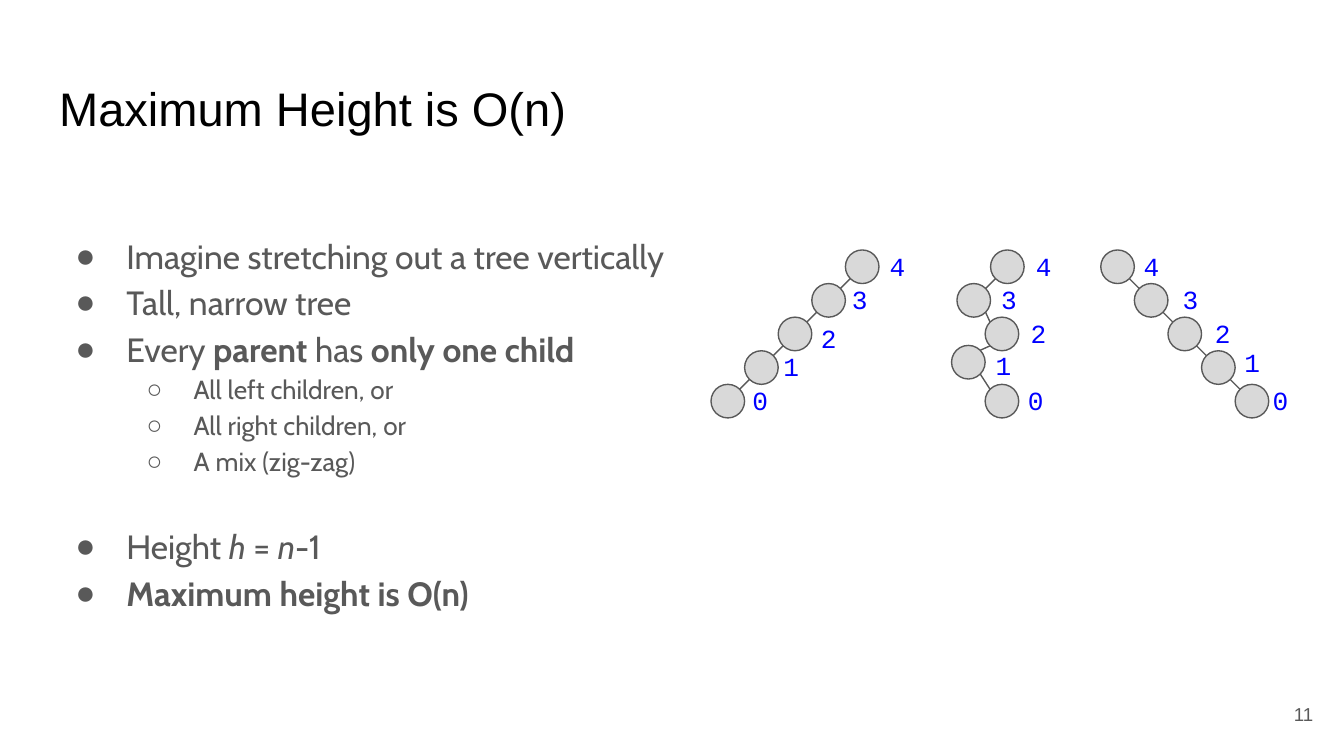
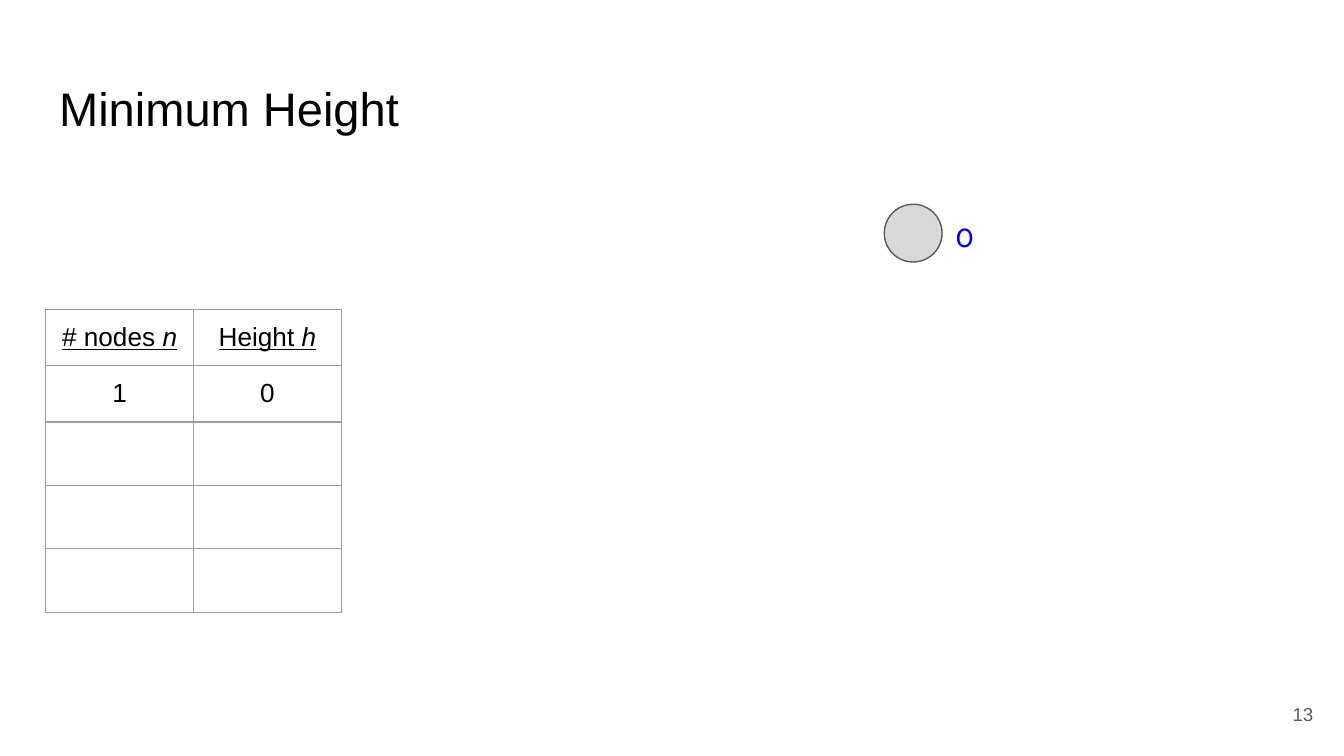
from dataclasses import dataclass
from math import sqrt
from typing import NamedTuple

from lxml.etree import SubElement
from pptx import Presentation
from pptx.dml.color import RGBColor
from pptx.enum.shapes import MSO_CONNECTOR as Connector, MSO_SHAPE as Shape
from pptx.enum.text import MSO_ANCHOR as Anchor, MSO_AUTO_SIZE as AutoSize, PP_ALIGN as Align
from pptx.oxml.ns import qn
from pptx.util import Inches, Pt

BLACK = RGBColor(0x00, 0x00, 0x00)
GRAY = RGBColor(0x59, 0x59, 0x59)
NODE_FILL = RGBColor(0xD9, 0xD9, 0xD9)
LABEL_BLUE = RGBColor(0x00, 0x00, 0xFF)
BORDER = RGBColor(0x9E, 0x9E, 0x9E)

HEADING_FONT, BODY_FONT, LABEL_FONT = "Arial", "Cabin", "Courier New"
LINE_WIDTH = Pt(0.75)
TEXT_INSET = Inches(0.1)
TITLE_ONLY_LAYOUT, TWO_CONTENT_LAYOUT = 5, 3

NODE_SIZE = 0.25
NODE_STEP = 0.25
TREE_TOP = 1.86
LEVELS = range(5)


class Box(NamedTuple):
    """Left, top, width and height in inches."""
    left: float
    top: float
    width: float
    height: float

    def lengths(self) -> list:
        return [Inches(value) for value in self]


class Point(NamedTuple):
    left: float
    top: float


class Span(NamedTuple):
    text: str
    bold: bool = False
    italic: bool = False


@dataclass(frozen=True)
class Bullet:
    spans: list[Span]
    level: int = 0


@dataclass(frozen=True)
class BulletStyle:
    character: str
    margin: float
    indent: float
    size: float


@dataclass(frozen=True)
class Tree:
    """One chain of nodes, root first, with the place of each height label."""
    nodes: list[Point]
    labels: list[Point]


BULLET_STYLES = [BulletStyle("●", 0.5, -0.38, 18), BulletStyle("○", 1, -0.35, 14)]

TITLE_BOX = Box(0.34, 0.49, 9.32, 0.63)
NUMBER_BOX = Box(9.27, 5.1, 0.6, 0.43)

SHAPE_BULLETS = [
    Bullet([Span("Imagine stretching out a tree vertically")]),
    Bullet([Span("Tall, narrow tree")]),
    Bullet([Span("Every "), Span("parent", bold=True), Span(" has "),
            Span("only one child", bold=True)]),
    Bullet([Span("All left children, or")], level=1),
    Bullet([Span("All right children, or")], level=1),
    Bullet([Span("A mix (zig-zag)")], level=1),
]
HEIGHT_BULLETS = [
    Bullet([Span("Height "), Span("h", italic=True), Span(" = "),
            Span("n", italic=True), Span("-1")]),
    Bullet([Span("Maximum height is O(n)", bold=True)]),
]

LEFT_TREE = Tree(
    [Point(6.29 - NODE_STEP * i, TREE_TOP + NODE_STEP * i) for i in LEVELS],
    [Point(6.52, 1.76), Point(6.24, 2.01), Point(6.01, 2.3), Point(5.73, 2.51),
     Point(5.5, 2.76)],
)
ZIGZAG_TREE = Tree(
    [Point(7.37, 1.86), Point(7.12, 2.11), Point(7.33, 2.36), Point(7.08, 2.57),
     Point(7.33, 2.86)],
    [Point(7.61, 1.76), Point(7.35, 2.01), Point(7.57, 2.26), Point(7.31, 2.5),
     Point(7.55, 2.76)],
)
RIGHT_TREE = Tree(
    [Point(8.19 + NODE_STEP * i, TREE_TOP + NODE_STEP * i) for i in LEVELS],
    [Point(8.41, 1.76), Point(8.7, 2.01), Point(8.94, 2.26), Point(9.16, 2.48),
     Point(9.37, 2.76)],
)

HEIGHT_ROWS = [
    [[Span("# nodes "), Span("n", italic=True)], [Span("Height "), Span("h", italic=True)]],
    [[Span("1")], [Span("0")]],
    [[], []],
    [[], []],
    [[], []],
]
COLUMN_WIDTH, ROW_HEIGHT = 1.1, 0.42
EMPTY_CELL_SIZE = 17.5


def style_font(font, name: str, size: float, color: RGBColor) -> None:
    font.name = name
    font.size = Pt(size)
    font.color.rgb = color


def add_spans(paragraph, spans: list[Span], name: str, size: float, color: RGBColor) -> None:
    for span in spans:
        run = paragraph.add_run()
        run.text = span.text
        style_font(run.font, name, size, color)
        run.font.bold = span.bold
        run.font.italic = span.italic


def prepare_frame(shape, box: Box, anchor=Anchor.TOP):
    """Place a text shape and give its frame the shared insets."""
    shape.left, shape.top, shape.width, shape.height = box.lengths()
    frame = shape.text_frame
    frame.word_wrap = True
    frame.auto_size = AutoSize.NONE
    frame.vertical_anchor = anchor
    frame.margin_left = frame.margin_right = TEXT_INSET
    frame.margin_top = frame.margin_bottom = TEXT_INSET
    return frame


def add_text(slide, box: Box, text: str, font_name: str, size: float, color: RGBColor,
             align=Align.LEFT, anchor=Anchor.TOP) -> None:
    frame = prepare_frame(slide.shapes.add_textbox(*box.lengths()), box, anchor)
    frame.text = text
    paragraph = frame.paragraphs[0]
    paragraph.alignment = align
    style_font(paragraph.runs[0].font, font_name, size, color)


def add_base_slide(presentation, layout: int, title: str, number: str):
    slide = presentation.slides.add_slide(presentation.slide_layouts[layout])
    frame = prepare_frame(slide.shapes.title, TITLE_BOX)
    frame.text = title
    paragraph = frame.paragraphs[0]
    paragraph.alignment = Align.LEFT
    style_font(paragraph.runs[0].font, HEADING_FONT, 25.2, BLACK)
    add_text(slide, NUMBER_BOX, number, HEADING_FONT, 10, GRAY, Align.RIGHT, Anchor.MIDDLE)
    return slide


def set_bullet(paragraph, style: BulletStyle) -> None:
    properties = paragraph._p.get_or_add_pPr()
    properties.set("marL", str(Inches(style.margin)))
    properties.set("indent", str(Inches(style.indent)))
    color = SubElement(properties, qn("a:buClr"))
    SubElement(color, qn("a:srgbClr"), val=str(GRAY))
    SubElement(properties, qn("a:buFont"), typeface=HEADING_FONT)
    SubElement(properties, qn("a:buChar"), char=style.character)


def fill_list(placeholder, box: Box, bullets: list[Bullet]) -> None:
    frame = prepare_frame(placeholder, box)
    for index, bullet in enumerate(bullets):
        paragraph = frame.add_paragraph() if index else frame.paragraphs[0]
        style = BULLET_STYLES[bullet.level]
        paragraph.level = bullet.level
        paragraph.line_spacing = 1.15
        paragraph.space_before = Pt(0)
        set_bullet(paragraph, style)
        add_spans(paragraph, bullet.spans, BODY_FONT, style.size, GRAY)


def add_node(slide, position: Point, size: float = NODE_SIZE) -> None:
    node = slide.shapes.add_shape(Shape.OVAL, *Box(*position, size, size).lengths())
    node.shadow.inherit = False
    node.fill.solid()
    node.fill.fore_color.rgb = NODE_FILL
    node.line.color.rgb = GRAY
    node.line.width = LINE_WIDTH


def add_edge(slide, child: Point, parent: Point) -> None:
    """Join the facing diagonal points of two node circles."""
    near = NODE_SIZE * (1 - 1 / sqrt(2)) / 2
    far = NODE_SIZE - near
    child_x, parent_x = (far, near) if parent.left > child.left else (near, far)
    edge = slide.shapes.add_connector(
        Connector.STRAIGHT,
        Inches(child.left + child_x), Inches(child.top + near),
        Inches(parent.left + parent_x), Inches(parent.top + far),
    )
    edge.line.color.rgb = GRAY
    edge.line.width = LINE_WIDTH
    SubElement(edge._element.spPr, qn("a:effectLst"))


def add_tree(slide, tree: Tree) -> None:
    for node in tree.nodes:
        add_node(slide, node)
    for parent, child in zip(tree.nodes, tree.nodes[1:]):
        add_edge(slide, child, parent)
    for height, label in zip(reversed(LEVELS), tree.labels):
        add_text(slide, Box(*label, 0.25, 0.44), str(height), LABEL_FONT, 14, LABEL_BLUE)


def set_cell_borders(cell) -> None:
    properties = cell._tc.get_or_add_tcPr()
    for side in ("lnL", "lnR", "lnT", "lnB"):
        line = SubElement(properties, qn(f"a:{side}"), w=str(LINE_WIDTH))
        fill = SubElement(line, qn("a:solidFill"))
        SubElement(fill, qn("a:srgbClr"), val=str(BORDER))


def set_empty_cell_font(paragraph) -> None:
    ending = SubElement(paragraph._p, qn("a:endParaRPr"), sz=str(int(EMPTY_CELL_SIZE * 100)))
    SubElement(ending, qn("a:latin"), typeface=HEADING_FONT)


def add_height_table(slide, left: float, top: float) -> None:
    row_count, column_count = len(HEIGHT_ROWS), len(HEIGHT_ROWS[0])
    box = Box(left, top, COLUMN_WIDTH * column_count, ROW_HEIGHT * row_count)
    table = slide.shapes.add_table(row_count, column_count, *box.lengths()).table
    table.first_row = table.horz_banding = False
    for row_index, row in enumerate(HEIGHT_ROWS):
        for column_index, spans in enumerate(row):
            cell = table.cell(row_index, column_index)
            cell.margin_left = cell.margin_right = TEXT_INSET
            cell.margin_top = cell.margin_bottom = TEXT_INSET
            set_cell_borders(cell)
            cell.fill.background()
            paragraph = cell.text_frame.paragraphs[0]
            paragraph.alignment = Align.CENTER
            add_spans(paragraph, spans, HEADING_FONT, 14, BLACK)
            for run in paragraph.runs:
                run.font.underline = row_index == 0
            if not spans:
                set_empty_cell_font(paragraph)


def build_maximum_height(presentation) -> None:
    slide = add_base_slide(presentation, TWO_CONTENT_LAYOUT, "Maximum Height is O(n)", "11")
    shape_list, height_list = list(slide.placeholders)[1:3]
    fill_list(shape_list, Box(0.34, 1.61, 4.71, 2.1), SHAPE_BULLETS)
    fill_list(height_list, Box(0.34, 3.77, 4.71, 1.2), HEIGHT_BULLETS)
    for tree in (LEFT_TREE, ZIGZAG_TREE, RIGHT_TREE):
        add_tree(slide, tree)


def build_minimum_height(presentation) -> None:
    slide = add_base_slide(presentation, TITLE_ONLY_LAYOUT, "Minimum Height", "13")
    add_node(slide, Point(6.58, 1.52), 0.43)
    add_height_table(slide, 0.34, 2.3)
    add_text(slide, Box(7.01, 1.55, 0.43, 0.38), "0", BODY_FONT, 14, LABEL_BLUE)


def main() -> None:
    presentation = Presentation()
    presentation.slide_width = Inches(10)
    presentation.slide_height = Inches(10) * 9 // 16
    build_maximum_height(presentation)
    build_minimum_height(presentation)
    presentation.save("out.pptx")


if __name__ == "__main__":
    main()
